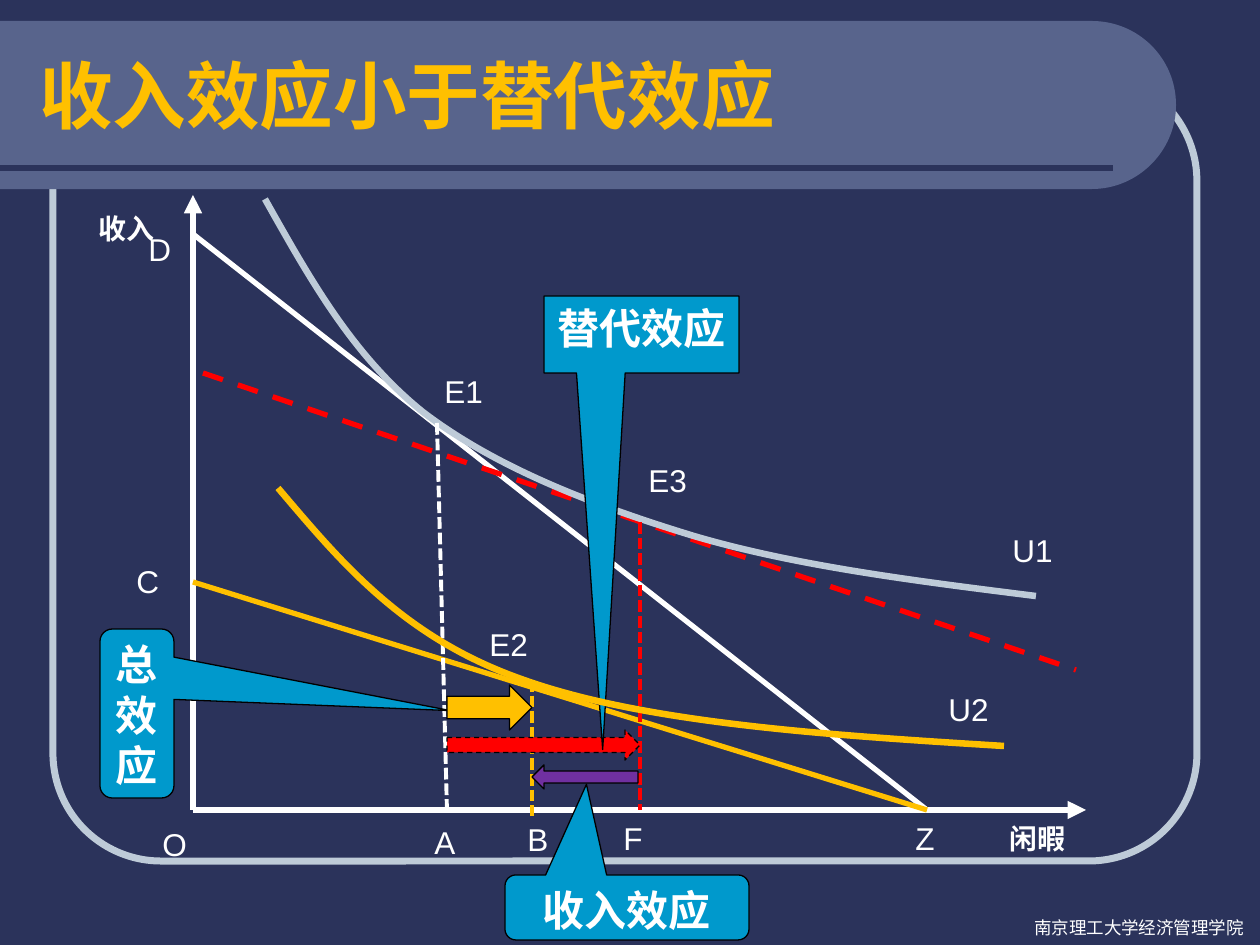
from pptx import Presentation
from pptx.dml.color import RGBColor
from pptx.enum.dml import MSO_LINE as DASH
from pptx.enum.shapes import MSO_CONNECTOR, MSO_SHAPE as SHAPE
from pptx.enum.text import MSO_ANCHOR as ANCHOR, PP_ALIGN as ALIGN
from pptx.oxml.ns import qn
from pptx.util import Pt
from lxml import etree

EMU_PER_PX = 914400 / 126
COLORS = {
    "navy": "2B335B", "slate": "58648C", "mist": "BECBD8", "white": "FFFFFF",
    "gold": "FFC000", "red": "FF0000", "blue": "0099CC", "purple": "7030A0",
    "black": "000000",
}


def px(n):
    return round(n * EMU_PER_PX)


def rgb(name):
    return RGBColor.from_string(COLORS[name])


def set_line(line, color, width, dash=None):
    line.color.rgb = rgb(color)
    line.width = Pt(width)
    if dash:
        line.dash_style = dash


def set_fill(sp, color):
    sp.fill.solid()
    sp.fill.fore_color.rgb = rgb(color)


def write(tf, text, size, color="white", bold=False, font="Arial", align=ALIGN.LEFT):
    p = tf.paragraphs[0]
    p.alignment = align
    r = p.add_run()
    r.text = text
    r.font.size = Pt(size)
    r.font.bold = bold
    r.font.name = font
    r.font.color.rgb = rgb(color)


def add_text(slide, box, text, size, anchor=ANCHOR.TOP, wrap=True, **style):
    tf = slide.shapes.add_textbox(*map(px, box)).text_frame
    tf.word_wrap = wrap
    tf.vertical_anchor = anchor
    write(tf, text, size, **style)


def add_line(slide, start, end, color, width, dash=None, arrow=False):
    c = slide.shapes.add_connector(MSO_CONNECTOR.STRAIGHT, *map(px, start + end))
    set_line(c.line, color, width, dash)
    if arrow:
        etree.SubElement(c.line._get_or_add_ln(), qn("a:tailEnd"), type="triangle")
    etree.SubElement(c._element.spPr, qn("a:effectLst"))


def add_shape(slide, kind, box, adjustments, fill, line, width, dash=None):
    sp = slide.shapes.add_shape(kind, *map(px, box))
    sp.shadow.inherit = False
    for i, value in enumerate(adjustments):
        sp.adjustments[i] = value
    if fill:
        set_fill(sp, fill)
    else:
        sp.fill.background()
    set_line(sp.line, line, width, dash)
    return sp


def add_callout(slide, kind, box, adjustments, text):
    sp = add_shape(slide, kind, box, adjustments, "blue", "black", 0.75)
    tf = sp.text_frame
    tf.word_wrap = True
    tf.vertical_anchor = ANCHOR.TOP
    write(tf, text, 24, bold=True, align=ALIGN.CENTER)


def add_arrow(slide, kind, box, fill, dash=None):
    add_shape(slide, kind, box, (0.5, 0.5), fill, "black", 0.75, dash)


def bend(sp, first, last):
    segments = list(sp._element.iter(qn("a:lnTo")))[first:last]
    for i in range(0, len(segments), 3):
        cubic = etree.Element(qn("a:cubicBezTo"))
        segments[i].addprevious(cubic)
        for segment in segments[i:i + 3]:
            cubic.append(segment[0])
            segment.getparent().remove(segment)


def add_outline(slide, nodes, first, last, close=False):
    points = [(px(x), px(y)) for x, y in nodes]
    builder = slide.shapes.build_freeform(*points[0])
    builder.add_line_segments(points[1:], close=close)
    sp = builder.convert_to_shape()
    sp.shadow.inherit = False
    bend(sp, first, last)
    return sp


def add_curve(slide, nodes, color):
    sp = add_outline(slide, nodes, 0, len(nodes) - 1)
    sp.fill.background()
    set_line(sp.line, color, 3.75)


def add_frame(slide):
    add_shape(slide, SHAPE.ROUNDED_RECTANGLE, (53, 73, 1144, 788), (0.137,), None, "mist", 4)
    banner = add_outline(slide, [(0, 21), (1092, 21), (1138, 21), (1176, 58), (1176, 105),
                                 (1176, 151), (1138, 189), (1092, 189), (0, 189), (0, 21)],
                         1, 7, close=True)
    set_fill(banner, "slate")
    banner.line.fill.background()
    add_line(slide, (0, 168), (1113, 168), "navy", 3)
    add_text(slide, (1022, 911, 238, 34), "南京理工大学经济管理学院", 10)
    add_text(slide, (27, 31, 1105, 126), "收入效应小于替代效应", 42,
             anchor=ANCHOR.MIDDLE, color="gold", bold=True)


def add_graph(slide):
    origin, z = (193, 810), (927, 810)
    for end in ((1086, 810), (193, 195)):
        add_line(slide, origin, end, "white", 3.5, arrow=True)
    add_line(slide, (193, 234), z, "white", 3)
    add_line(slide, (203, 373), (1076, 670), "red", 3, DASH.DASH)
    add_line(slide, (193, 582), z, "gold", 3)
    add_curve(slide, [(265, 199), (309, 277), (352, 355), (423, 412), (495, 467),
                      (592, 505), (694, 536), (796, 566), (916, 581), (1036, 596)], "mist")
    for start, end, color in (((532, 680), (532, 816), "gold"),
                              ((437, 423), (447, 810), "white"),
                              ((640, 522), (640, 810), "red")):
        add_line(slide, start, end, color, 2.25, DASH.SQUARE_DOT)


def add_labels(slide):
    for x, y, text in ((997, 815, "闲暇"), (86, 205, "收入")):
        add_text(slide, (x, y, 130, 68), text, 16, bold=True,
                 font="Times New Roman", align=ALIGN.JUSTIFY)
    for x, y, w, text in (
        (432, 366, 64, "E1"), (150, 819, 50, "O"), (636, 455, 64, "E3"),
        (477, 619, 64, "E2"), (515, 814, 47, "B"), (422, 817, 47, "A"),
        (611, 813, 45, "F"), (903, 813, 45, "Z"), (136, 224, 49, "D"),
        (124, 556, 48, "C"), (1000, 525, 66, "U1"), (936, 684, 66, "U2"),
    ):
        add_text(slide, (x, y, w, 50), text, 18, wrap=False)


def add_effects(slide):
    add_arrow(slide, SHAPE.RIGHT_ARROW, (447, 730, 193, 30), "red", DASH.DASH)
    add_arrow(slide, SHAPE.LEFT_ARROW, (532, 765, 106, 24), "purple")
    add_callout(slide, SHAPE.RECTANGULAR_CALLOUT, (544, 296, 195, 77),
                (-0.199, 5.393), "替代效应")
    add_callout(slide, SHAPE.ROUNDED_RECTANGULAR_CALLOUT, (505, 875, 244, 65),
                (-0.166, -1.895, 0.167), "收入效应")
    add_callout(slide, SHAPE.ROUNDED_RECTANGULAR_CALLOUT, (100, 629, 74, 169),
                (4.239, -0.017, 0.167), "总效应")
    add_curve(slide, [(278, 488), (341, 562), (403, 638), (524, 680),
                      (645, 723), (825, 735), (1004, 746)], "gold")
    add_arrow(slide, SHAPE.RIGHT_ARROW, (447, 685, 85, 45), "gold")


def main():
    prs = Presentation()
    prs.slide_width, prs.slide_height = px(1260), px(945)
    slide = prs.slides.add_slide(prs.slide_layouts[6])
    set_fill(slide.background, "navy")
    add_frame(slide)
    add_graph(slide)
    add_labels(slide)
    add_effects(slide)
    prs.save("out.pptx")


if __name__ == "__main__":
    main()
